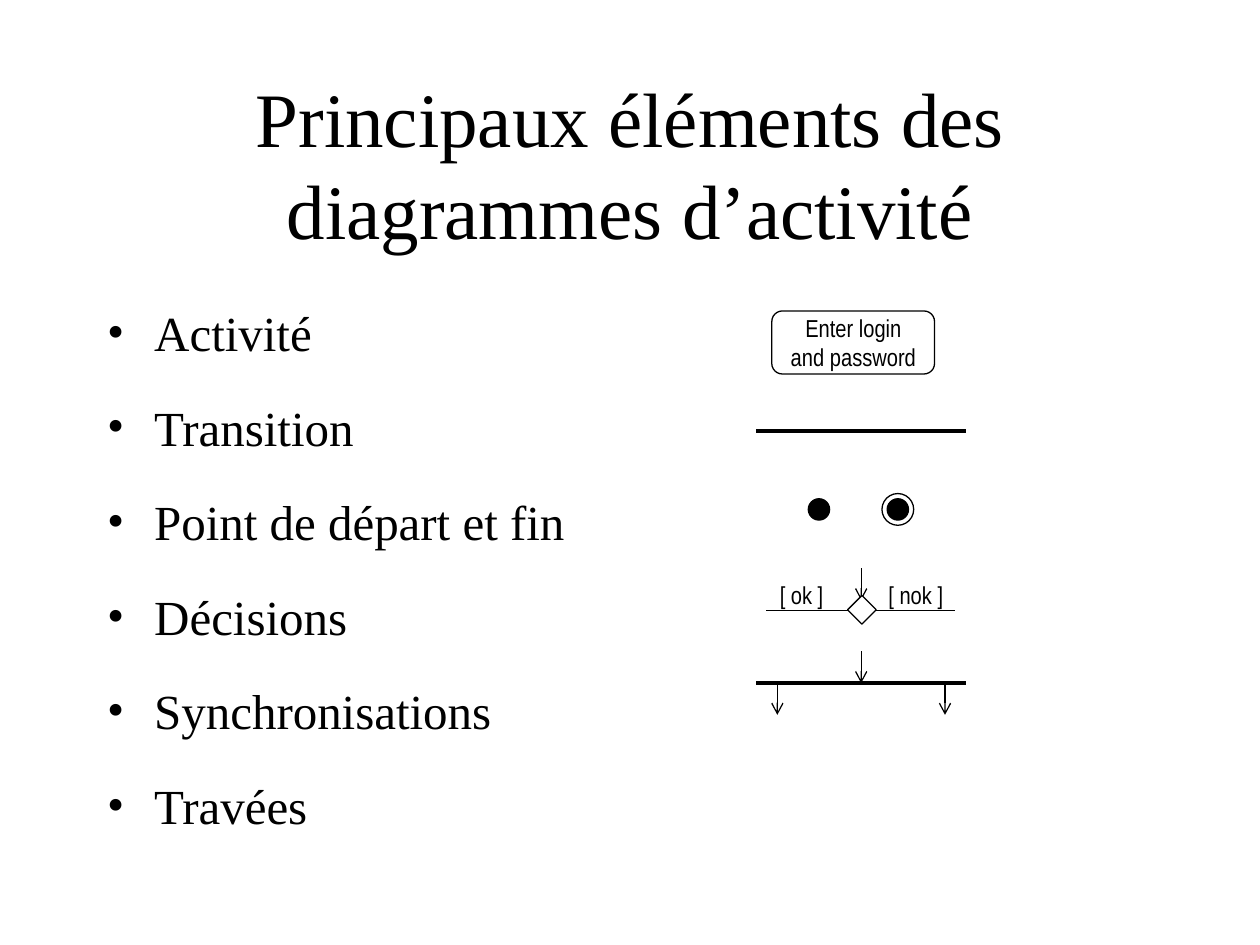
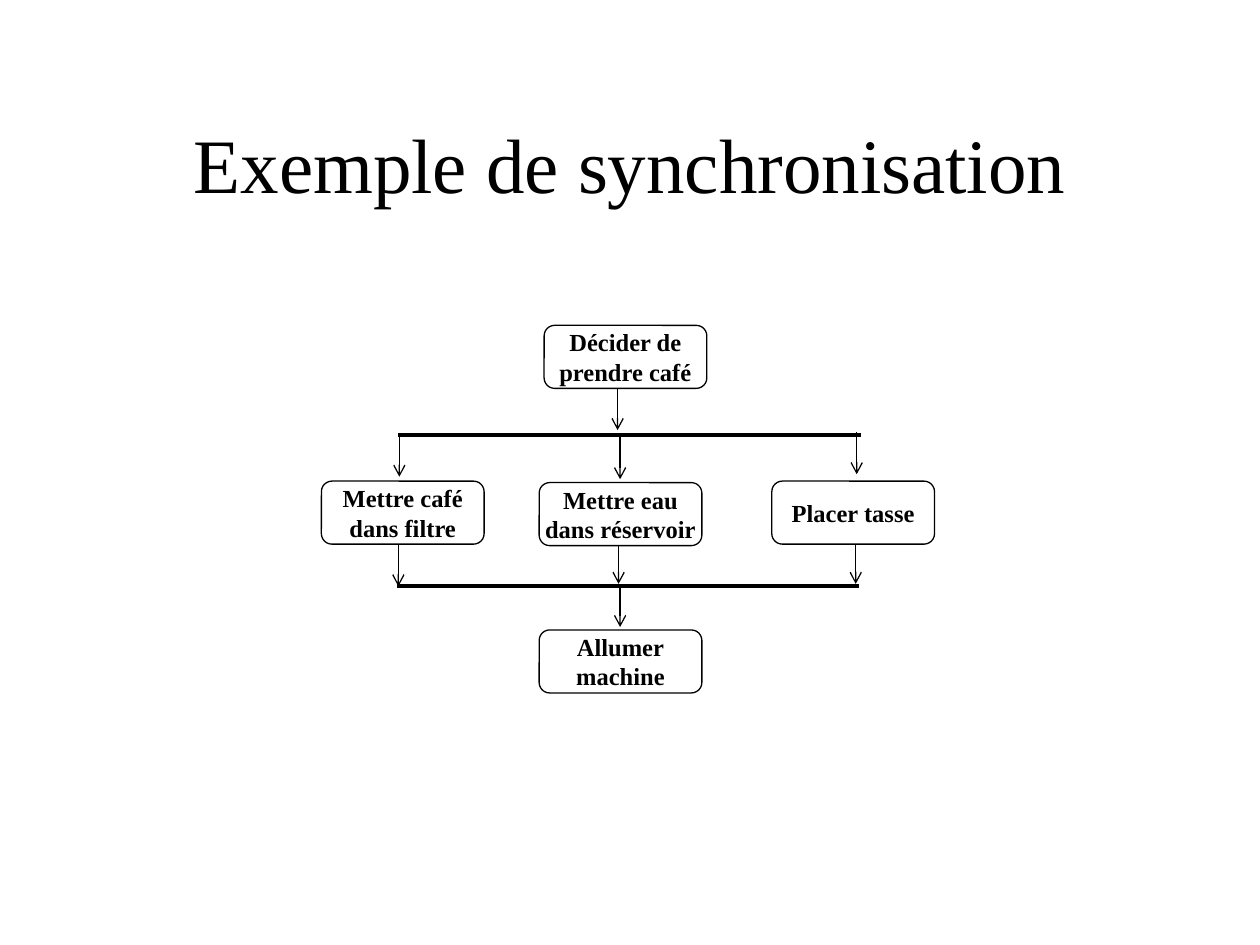
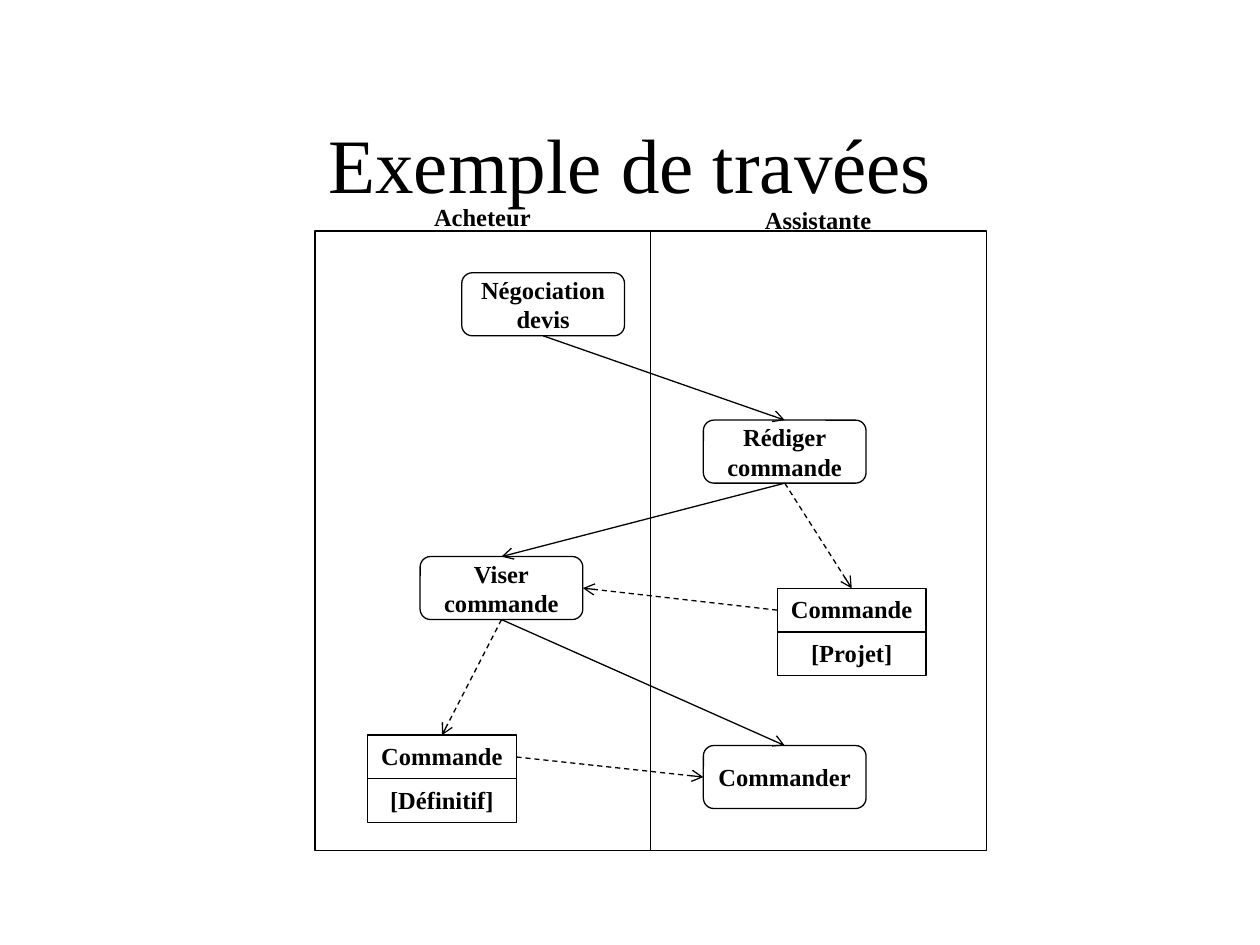
import pptx
import pptx.util
import pptx.dml.color
import pptx.enum.dml
import pptx.enum.shapes
import pptx.enum.text
import lxml.etree

Cm, Pt = pptx.util.Cm, pptx.util.Pt
KIND = pptx.enum.shapes.MSO_SHAPE
ALIGN = pptx.enum.text.PP_ALIGN
ANCHOR = pptx.enum.text.MSO_ANCHOR
GROW = pptx.enum.text.MSO_AUTO_SIZE.SHAPE_TO_FIT_TEXT


class Theme:
    ink = pptx.dml.color.RGBColor(0, 0, 0)
    paper = pptx.dml.color.RGBColor(255, 255, 255)
    serif, narrow = "Times New Roman", "Arial Narrow"
    title, body, label = 44, 28, 14
    thin, thick = 0.74, 2.24
    title_at = (1.91, 1.69, 21.59, 3.18)
    body_at = (1.91, 5.5, 21.59, 11.43)
    node = (3.28, 1.27)
    card = (3.0, 0.88)


# ---- Content (lengths in cm) ----
PARTS = {
    "title": "Principaux éléments des diagrammes d’activité",
    "items": ["Activité", "Transition", "Point de départ et fin",
              "Décisions", "Synchronisations", "Travées"],
    "node": (15.56, 6.27),
    "labels": [
        (["Enter login", "and password"], (15.69, 6.18, 3.03, 1.45), ALIGN.CENTER),
        (["[ ok ]"], (15.47, 11.56, 1.45, 0.86), ALIGN.LEFT),
        (["[ nok ]"], (17.66, 11.56, 1.68, 0.86), ALIGN.LEFT),
    ],
    "bars": [8.68, 13.77],
    "span": (15.24, 19.48),
    "arrows": [(17.36, 11.46), (17.36, 13.13), (15.67, 13.77), (19.05, 13.77)],
    "drop": 0.64,
    "guards": [(17.15, 15.44), (17.6, 19.25)],
    "guard_y": 12.3,
    "dots": [(16.51, 10.27, 0.43, "ink"), (18.1, 10.27, 0.64, "paper"),
             (18.1, 10.27, 0.43, "ink")],
    "diamond": (17.17, 12.09, 0.41, 0.41),
}

SYNC = {
    "title": "Exemple de synchronisation",
    "arrows": [(12.45, 7.82), (8.05, 8.76), (12.5, 8.81), (17.27, 8.71),
               (8.03, 10.97), (12.47, 10.92), (17.25, 10.92), (12.5, 11.79)],
    "drop": 0.85,
    "bars": [(8.03, 8.76), (8.0, 11.81)],
    "width": 9.32,
    "nodes": [
        ("Décider de\nprendre café", 10.97, 6.56),
        ("Mettre café\ndans filtre", 6.48, 9.7),
        ("Mettre eau\ndans réservoir", 10.87, 9.73),
        ("Placer tasse", 15.56, 9.7),
        ("Allumer\nmachine", 10.87, 12.7),
    ],
}

LANES = {
    "title": "Exemple de travées",
    "first": (6.35, 4.66, 6.77, 12.49),
    "names": [("Acheteur", (8.5, 3.94, 2.5, 0.86)),
              ("Assistante", (15.17, 4.01, 2.72, 0.86))],
    "nodes": {
        "quote": ("Négociation\ndevis", 9.31, 5.5),
        "sign": ("Viser\ncommande", 8.47, 11.22),
        "order": ("Commander", 14.18, 15.03),
        "write": ("Rédiger\ncommande", 14.18, 8.47),
    },
    "cards": {
        "final": ("Commande", "[Définitif]", 7.41, 14.82),
        "draft": ("Commande", "[Projet]", 15.67, 11.86),
    },
    # from, side, to, side, dashed
    "links": [
        ("quote", "bottom", "write", "top", False),
        ("write", "bottom", "sign", "top", False),
        ("write", "bottom", "draft", "top", True),
        ("draft", "left", "sign", "right", True),
        ("sign", "bottom", "order", "top", False),
        ("final", "right", "order", "left", True),
        ("sign", "bottom", "final", "top", True),
    ],
}
SIDES = {"top": (0.5, 0), "bottom": (0.5, 1), "left": (0, 0.5), "right": (1, 0.5)}


# ---- Drawing helpers ----
def add_tag(parent, name, **attrs):
    uri = "http://schemas.openxmlformats.org/drawingml/2006/main"
    return lxml.etree.SubElement(parent, "{%s}%s" % (uri, name), **attrs)


def put_text(shape, paras, size, font=Theme.serif, bold=False,
             align=ALIGN.CENTER, anchor=ANCHOR.TOP, wrap=False, gap=None):
    frame = shape.text_frame
    frame.word_wrap = wrap
    frame.vertical_anchor = anchor
    for i, text in enumerate(paras):
        para = frame.add_paragraph() if i else frame.paragraphs[0]
        para.alignment = align
        if gap is not None:
            para.space_before = para.space_after = Pt(gap)
        for j, part in enumerate(text.split("\n")):
            if j:
                para.add_line_break()
            run = para.add_run()
            run.text = part
            run.font.name, run.font.size, run.font.bold = font, Pt(size), bold
            run.font.color.rgb = Theme.ink
    return frame


def add_text(slide, at, paras, size, **style):
    box = slide.shapes.add_textbox(*map(Cm, at))
    return put_text(box, paras, size, **style)


def add_label(slide, at, paras, **style):
    add_text(slide, at, paras, Theme.label, **style).auto_size = GROW


def add_form(slide, kind, at, fill=None):
    shape = slide.shapes.add_shape(kind, *map(Cm, at))
    shape.shadow.inherit = False
    if fill is None:
        shape.fill.background()
    else:
        shape.fill.solid()
        shape.fill.fore_color.rgb = fill
    shape.line.color.rgb = Theme.ink
    shape.line.width = Pt(Theme.thin)
    return shape


def add_node(slide, x, y, text=None):
    shape = add_form(slide, KIND.ROUNDED_RECTANGLE, (x, y, *Theme.node), Theme.paper)
    if text:
        put_text(shape, [text], Theme.label, bold=True, anchor=ANCHOR.MIDDLE, gap=5)


def add_line(slide, start, end, width=Theme.thin, arrow=False, dash=False):
    line = slide.shapes.add_connector(
        pptx.enum.shapes.MSO_CONNECTOR.STRAIGHT, *map(Cm, (*start, *end)))
    line.line.color.rgb = Theme.ink
    line.line.width = Pt(width)
    if dash:
        line.line.dash_style = pptx.enum.dml.MSO_LINE.DASH
    props = line.element.spPr
    if arrow:
        add_tag(props.find("{*}ln"), "tailEnd", type="arrow")
    add_tag(props, "effectLst")


def add_drops(slide, starts, drop):
    for x, y in starts:
        add_line(slide, (x, y), (x, y + drop), arrow=True)


def add_page(deck, title):
    slide = deck.slides.add_slide(deck.slide_layouts[6])
    add_text(slide, Theme.title_at, [title], Theme.title,
             anchor=ANCHOR.MIDDLE, wrap=True)
    return slide


# ---- Slides ----
def draw_parts(deck, data):
    slide = add_page(deck, data["title"])
    # Bulleted list
    frame = add_text(slide, Theme.body_at, data["items"], Theme.body,
                     align=ALIGN.LEFT, wrap=True)
    for para in frame.paragraphs:
        para.line_spacing = 1.4
        para.space_before = Pt(7)
        props = para._p.get_or_add_pPr()
        props.set("marL", str(Cm(0.95)))
        props.set("indent", str(-Cm(0.95)))
        add_tag(props, "buFont", typeface=Theme.serif)
        add_tag(props, "buChar", char="•")
    # Symbols
    add_node(slide, *data["node"])
    left, right = data["span"]
    for y in data["bars"]:
        add_line(slide, (left, y), (right, y), Theme.thick)
    for x, y, size, fill in data["dots"]:
        add_form(slide, KIND.OVAL, (x - size / 2, y - size / 2, size, size),
                 getattr(Theme, fill))
    add_drops(slide, data["arrows"], data["drop"])
    for start, end in data["guards"]:
        add_line(slide, (start, data["guard_y"]), (end, data["guard_y"]))
    add_form(slide, KIND.RECTANGLE, data["diamond"], Theme.paper).rotation = 45
    for paras, at, align in data["labels"]:
        add_label(slide, at, paras, font=Theme.narrow, align=align)


def draw_sync(deck, data):
    slide = add_page(deck, data["title"])
    add_drops(slide, data["arrows"], data["drop"])
    for x, y in data["bars"]:
        add_line(slide, (x, y), (x + data["width"], y), Theme.thick)
    for text, x, y in data["nodes"]:
        add_node(slide, x, y, text)


def draw_lanes(deck, data):
    slide = add_page(deck, data["title"])
    spots = {}
    # Activities
    for key, (text, x, y) in data["nodes"].items():
        add_node(slide, x, y, text)
        spots[key] = (x, y, *Theme.node)
    # Objects with their state below
    wide, high = Theme.card
    for key, (name, state, x, y) in data["cards"].items():
        for i, text in enumerate((name, state)):
            shape = add_form(slide, KIND.RECTANGLE, (x, y + i * high, wide, high))
            put_text(shape, [text], Theme.label, bold=True, gap=5)
        spots[key] = (x, y, wide, high)

    # Links between sides
    def point(key, side):
        x, y, w, h = spots[key]
        across, down = SIDES[side]
        return x + w * across, y + h * down

    for start, out, end, into, dash in data["links"]:
        add_line(slide, point(start, out), point(end, into), arrow=True, dash=dash)
    # Lanes and their names
    x, y, w, h = data["first"]
    for i, (name, at) in enumerate(data["names"]):
        add_form(slide, KIND.RECTANGLE, (x + i * w, y, w, h))
        add_label(slide, at, [name], bold=True, align=ALIGN.LEFT, gap=5)


deck = pptx.Presentation()
deck.slide_width, deck.slide_height = Cm(25.4), Cm(19.05)
draw_parts(deck, PARTS)
draw_sync(deck, SYNC)
draw_lanes(deck, LANES)
deck.save("out.pptx")
